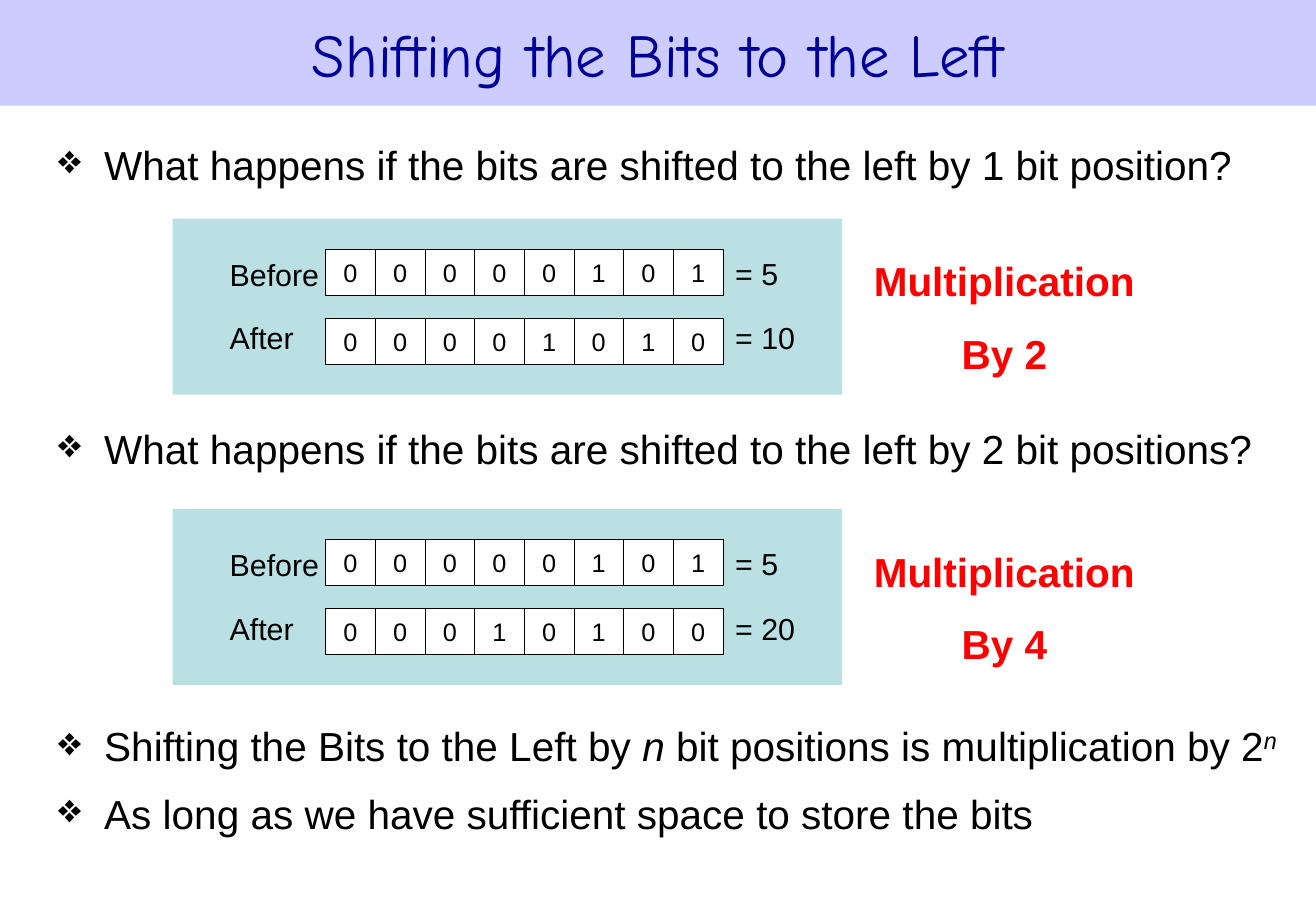
import pptx
import pptx.util
import pptx.dml.color
import pptx.enum.shapes
import pptx.enum.text
from lxml import etree

Inches = pptx.util.Inches
Pt = pptx.util.Pt
RGBColor = pptx.dml.color.RGBColor
ALIGN = pptx.enum.text.PP_ALIGN
MIDDLE = pptx.enum.text.MSO_ANCHOR.MIDDLE
FIT = pptx.enum.text.MSO_AUTO_SIZE.SHAPE_TO_FIT_TEXT
RECT = pptx.enum.shapes.MSO_SHAPE.RECTANGLE

LILAC = RGBColor(0xCC, 0xCC, 0xFF)
NAVY = RGBColor(0x00, 0x00, 0x99)
TEAL = RGBColor(0xBB, 0xE0, 0xE3)
WHITE = RGBColor(0xFF, 0xFF, 0xFF)
BLACK = RGBColor(0x00, 0x00, 0x00)
RED = RGBColor(0xFF, 0x00, 0x00)

BITS_X = 2.68
PITCH = 3.27 / 8


def style(para, size, color=BLACK, name="Arial", bold=False):
    font = para.font
    font.size = Pt(size)
    font.name = name
    font.bold = bold
    font.color.rgb = color


def no_inset(frame):
    frame.margin_left = frame.margin_right = 0
    frame.margin_top = frame.margin_bottom = 0


def add_title(slide, text):
    title = slide.shapes.title
    title.left, title.top = Inches(0), Inches(0)
    title.width, title.height = Inches(10.83), Inches(0.87)
    title.fill.solid()
    title.fill.fore_color.rgb = LILAC
    frame = title.text_frame
    frame.text = text
    frame.vertical_anchor = MIDDLE
    para = frame.paragraphs[0]
    para.alignment = ALIGN.CENTER
    style(para, 36, NAVY, "Comic Neue")


def add_points(slide, top, height, points):
    """Each point is a list of (text, italic, raised) runs."""
    box = slide.shapes.add_textbox(
        Inches(0.38), Inches(top), Inches(10.27), Inches(height))
    frame = box.text_frame
    frame.word_wrap = True
    for i, runs in enumerate(points):
        para = frame.paragraphs[0] if i == 0 else frame.add_paragraph()
        props = para._p.get_or_add_pPr()
        props.set("marL", str(Inches(0.38)))
        props.set("indent", str(-Inches(0.38)))
        if i:
            para.space_before = Pt(11)
        etree.SubElement(props, pptx.oxml.ns.qn("a:buChar")).set("char", "❖")
        style(para, 24)
        for text, italic, raised in runs:
            run = para.add_run()
            run.text = text
            if italic:
                run.font.italic = True
            if raised:
                run.font._element.set("baseline", "30000")


def add_rect(shapes, left, top, width, height, fill):
    rect = shapes.add_shape(
        RECT, Inches(left), Inches(top), Inches(width), Inches(height))
    rect.shadow.inherit = False
    rect.fill.solid()
    rect.fill.fore_color.rgb = fill
    rect.line.fill.background()
    return rect


def add_bit(shapes, left, top, bit):
    cell = add_rect(shapes, left, top, PITCH, 0.38, WHITE)
    cell.line.color.rgb = BLACK
    cell.line.width = Pt(0.38)
    frame = cell.text_frame
    no_inset(frame)
    frame.text = bit
    frame.vertical_anchor = MIDDLE
    para = frame.paragraphs[0]
    para.alignment = ALIGN.CENTER
    style(para, 15)


def add_label(shapes, left, top, width, text):
    box = shapes.add_textbox(
        Inches(left), Inches(top), Inches(width), Inches(0.3))
    frame = box.text_frame
    no_inset(frame)
    frame.word_wrap = False
    frame.auto_size = FIT
    frame.text = text
    style(frame.paragraphs[0], 18)


def add_panel(slide, top, after, value):
    shapes = slide.shapes.add_group_shape().shapes
    add_rect(shapes, 1.42, top, 5.51, 1.45, TEAL)
    # Row: name, name width, bits, value, value width, three offsets
    rows = [
        ("Before", 0.74, "00000101", "= 5", 0.36, 0.25, 0.31, 0.3),
        ("After", 0.53, after, value, 0.57, 0.82, 0.83, 0.83),
    ]
    for name, name_w, bits, total, total_w, bit_y, name_y, total_y in rows:
        for i, bit in enumerate(bits):
            add_bit(shapes, BITS_X + i * PITCH, top + bit_y, bit)
        add_label(shapes, 1.89, top + name_y, name_w, name)
        add_label(shapes, 6.05, top + total_y, total_w, total)


def add_result(slide, top, factor):
    box = slide.shapes.add_textbox(
        Inches(7.08), Inches(top), Inches(2.37), Inches(1.31))
    frame = box.text_frame
    frame.word_wrap = False
    frame.auto_size = FIT
    frame.text = "Multiplication\n" + factor
    for para in frame.paragraphs:
        para.alignment = ALIGN.CENTER
        para.line_spacing = 1.5
        style(para, 24, RED, bold=True)


def main():
    deck = pptx.Presentation()
    deck.slide_width, deck.slide_height = Inches(10.83), Inches(7.5)
    slide = deck.slides.add_slide(deck.slide_layouts[5])
    add_title(slide, "Shifting the Bits to the Left")

    # Two worked shifts, each with a question, a panel and a result
    ask = "What happens if the bits are shifted to the left by "
    shifts = [
        (1.1, "1 bit position?", 1.8, "00001010", "= 10", "By 2"),
        (3.44, "2 bit positions?", 4.19, "00010100", "= 20", "By 4"),
    ]
    for ask_y, count, top, after, value, factor in shifts:
        add_points(slide, ask_y, 0.57, [[(ask + count, False, False)]])
        add_panel(slide, top, after, value)
        add_result(slide, top + 0.06, factor)

    # General rule
    add_points(slide, 5.89, 1.26, [
        [("Shifting the Bits to the Left by ", False, False),
         ("n", True, False),
         (" bit positions is multiplication by 2", False, False),
         ("n", True, True)],
        [("As long as we have sufficient space to store the bits",
          False, False)],
    ])
    deck.save("out.pptx")


if __name__ == "__main__":
    main()
